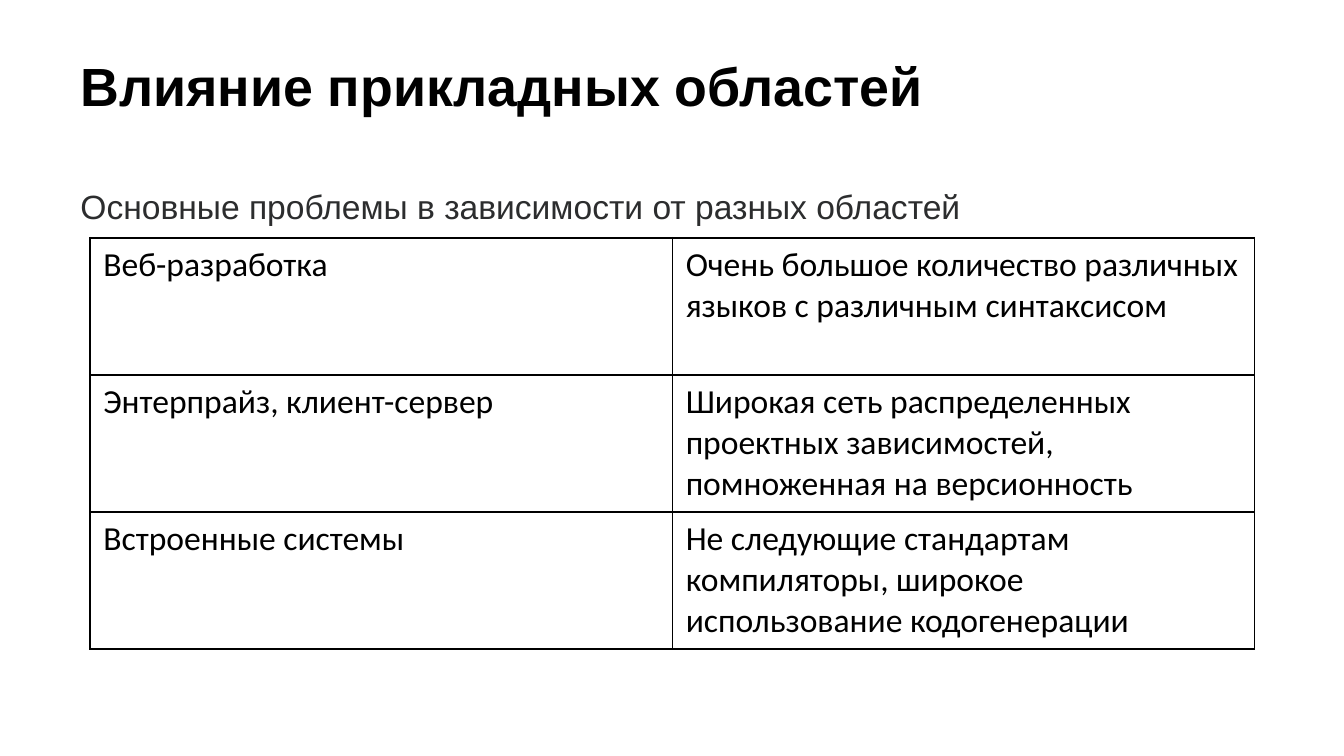
from pptx import Presentation
from pptx.dml.color import RGBColor
from pptx.enum.text import MSO_ANCHOR
from pptx.oxml import parse_xml
from pptx.oxml.ns import nsdecls
from pptx.util import Pt

BLACK = RGBColor(0x00, 0x00, 0x00)
GREY = RGBColor(0x2C, 0x2D, 0x2E)

TITLE = "Влияние прикладных областей"
SUBTITLE = "Основные проблемы в зависимости от разных областей"
PROBLEMS = [
    ("Веб-разработка",
     "Очень большое количество различных языков с различным синтаксисом"),
    ("Энтерпрайз, клиент-сервер",
     "Широкая сеть распределенных проектных зависимостей, помноженная на версионность"),
    ("Встроенные системы",
     "Не следующие стандартам компиляторы, широкое использование кодогенерации"),
]

TITLE_FONT = {"name": "Arial", "size": Pt(28.8), "bold": True}
SUBTITLE_FONT = {"name": "Arial", "size": Pt(18)}
CELL_FONT = {"name": "Calibri", "size": Pt(18), "bold": False}

TABLE_LEFT, TABLE_TOP = 48.2, 127.4
COL_WIDTH, ROW_HEIGHT = 312, 73.4


def write(tf, text, font, color):
    tf.word_wrap = True
    p = tf.paragraphs[0]
    r = p.add_run()
    r.text = text
    for key, value in font.items():
        setattr(r.font, key, value)
    r.font.color.rgb = color


def add_text(s, box, text, font, color, anchor):
    tf = s.shapes.add_textbox(*map(Pt, box)).text_frame
    tf.vertical_anchor = anchor
    write(tf, text, font, color)


def add_borders(cell):
    tc_pr = cell._tc.get_or_add_tcPr()
    for i, side in enumerate(("lnL", "lnR", "lnT", "lnB")):
        tc_pr.insert(i, parse_xml(
            f'<a:{side} {nsdecls("a")} w="{Pt(1)}"><a:solidFill>'
            f'<a:srgbClr val="{BLACK}"/></a:solidFill></a:{side}>'))


def add_problem_table(s):
    n_rows, n_cols = len(PROBLEMS), len(PROBLEMS[0])
    table = s.shapes.add_table(
        n_rows, n_cols, Pt(TABLE_LEFT), Pt(TABLE_TOP),
        Pt(n_cols * COL_WIDTH), Pt(n_rows * ROW_HEIGHT)).table
    table.first_row = table.horz_banding = False
    for column in table.columns:
        column.width = Pt(COL_WIDTH)
    for row, texts in zip(table.rows, PROBLEMS):
        row.height = Pt(ROW_HEIGHT)
        for cell, text in zip(row.cells, texts):
            cell.fill.background()
            add_borders(cell)
            write(cell.text_frame, text, CELL_FONT, BLACK)


def main():
    prs = Presentation()
    prs.slide_width, prs.slide_height = Pt(720), Pt(405)
    s = prs.slides.add_slide(prs.slide_layouts[6])
    add_text(s, (36, 24.5, 537, 41.8), TITLE, TITLE_FONT, BLACK, MSO_ANCHOR.MIDDLE)
    add_text(s, (36, 95.8, 588, 271.4), SUBTITLE, SUBTITLE_FONT, GREY, MSO_ANCHOR.TOP)
    add_problem_table(s)
    prs.save("out.pptx")


if __name__ == "__main__":
    main()
